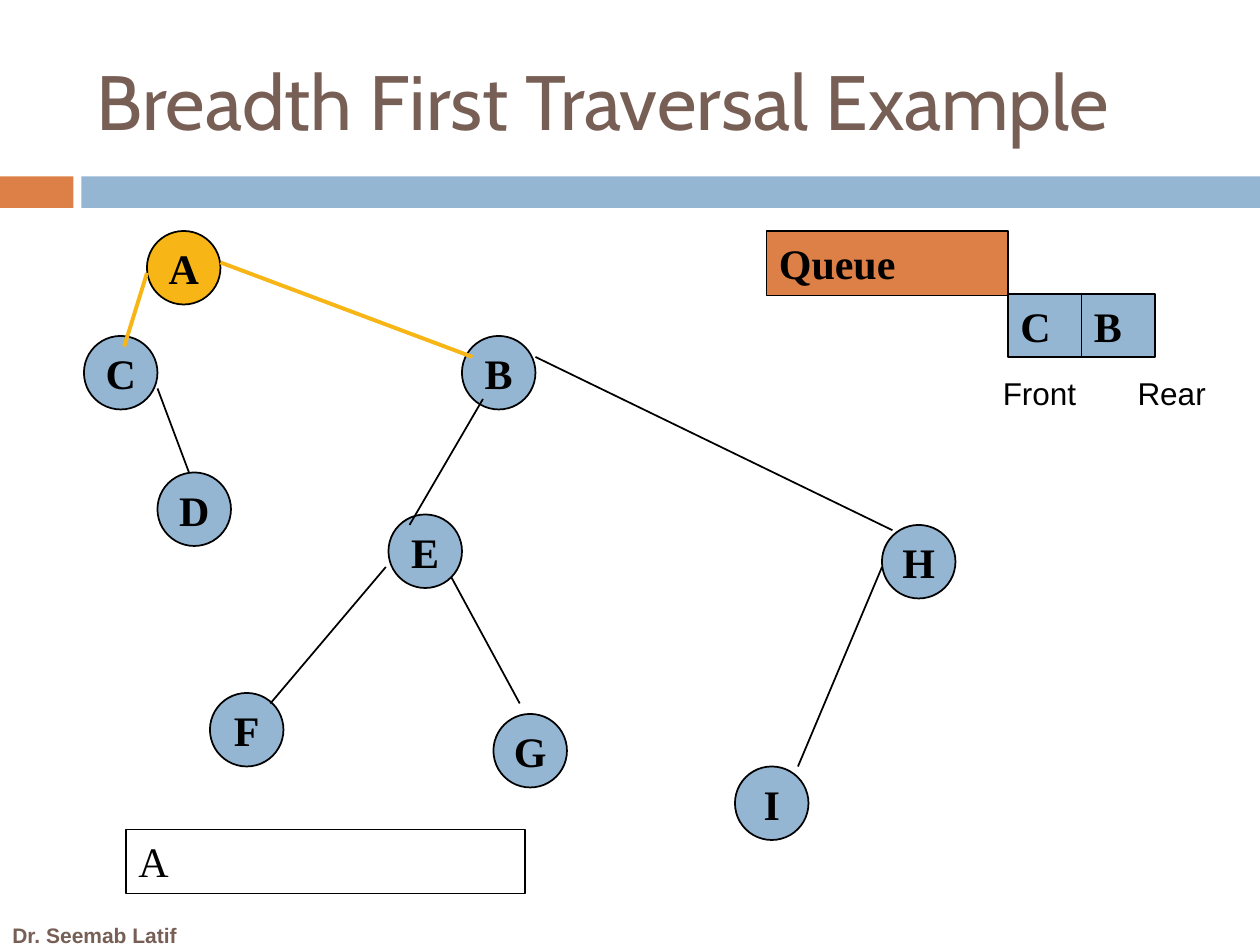
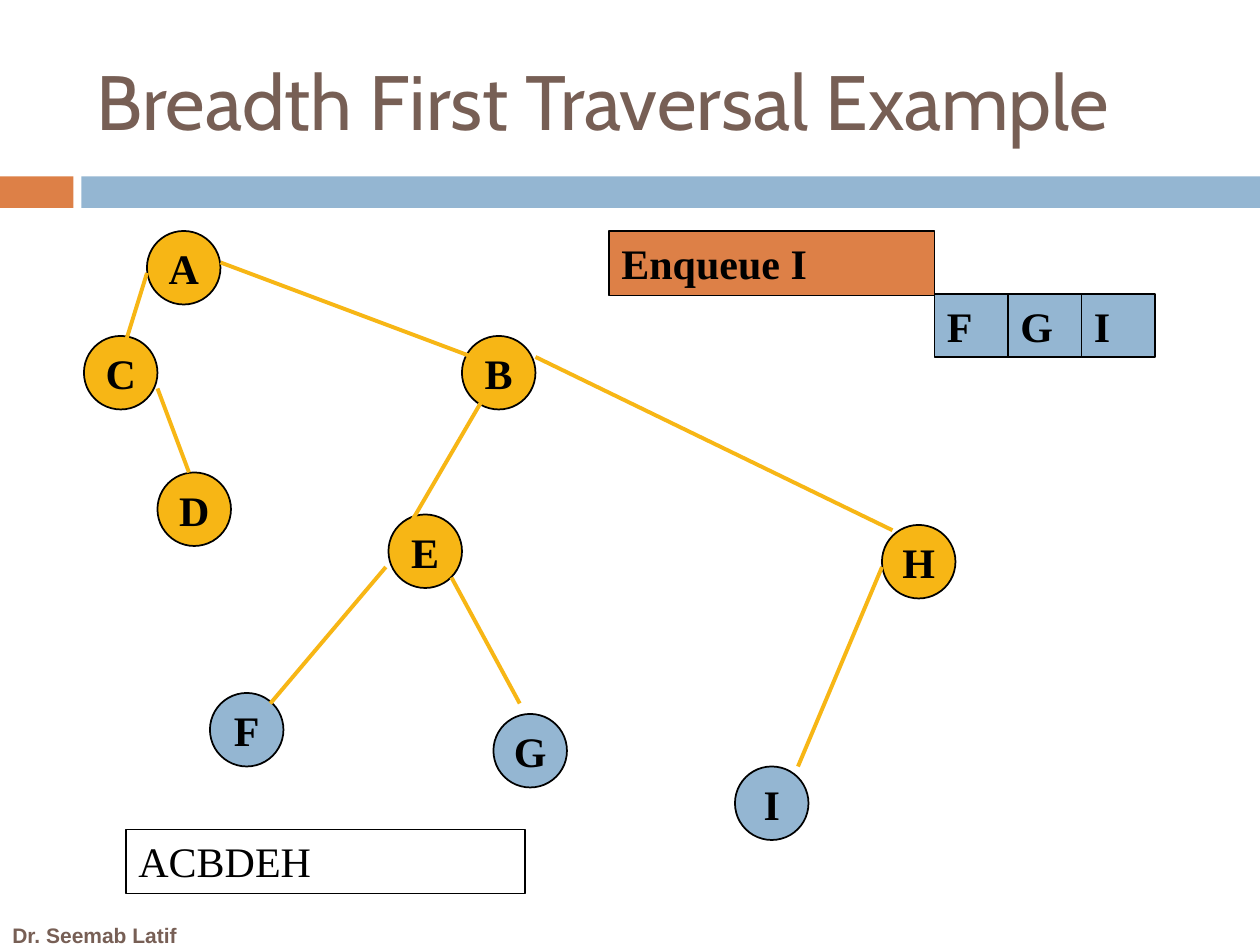
from lxml import etree
from pptx import Presentation
from pptx.dml.color import RGBColor
from pptx.enum import shapes as kinds, text as txt
from pptx.oxml.ns import qn
from pptx.util import Pt

BLUE, ORANGE, YELLOW = "94B6D2", "DD8047", "F7B615"
BROWN, BLACK = "775F55", "000000"
SERIF, SANS, HEADING = "Times New Roman", "Arial", "Cabin"
RECT, OVAL = kinds.MSO_SHAPE.RECTANGLE, kinds.MSO_SHAPE.OVAL

NODE_SIZE = 42
NODES = {
    "H": (504, 300), "A": (84, 132), "C": (48, 192),
    "D": (90, 270), "B": (264, 192), "E": (222, 294),
    "F": (120, 396), "G": (282, 408), "I": (420, 438),
}
# Parent and child letters, then the two ends of the line
EDGES = {
    "AC": (84, 156, 71, 198), "CD": (90, 222, 108, 270),
    "AB": (126, 150, 270, 204), "BE": (276, 228, 234, 300),
    "EF": (220.5, 324, 154.5, 402), "EG": (258, 330, 297, 402),
    "BH": (306, 204, 510, 303), "HI": (504, 324, 456, 438),
}
QUEUE_RIGHT, CELL_WIDTH = 660, 42


def rgb(value):
    return RGBColor.from_string(value)


def put_text(sp, text, size=24, font=SERIF, color=BLACK, bold=False,
             align=txt.PP_ALIGN.LEFT, anchor=txt.MSO_ANCHOR.TOP, wrap=True):
    tf = sp.text_frame
    tf.word_wrap = wrap
    tf.vertical_anchor = anchor
    p = tf.paragraphs[0]
    p.alignment = align
    r = p.add_run()
    r.text = text
    r.font.name, r.font.size, r.font.bold = font, Pt(size), bold
    r.font.color.rgb = rgb(color)


def add_box(parent, box, kind=RECT, fill=None, line=None):
    sp = parent.shapes.add_shape(kind, *map(Pt, box))
    sp.shadow.inherit = False
    if fill:
        sp.fill.solid()
        sp.fill.fore_color.rgb = rgb(fill)
    else:
        sp.fill.background()
    if line:
        sp.line.width = Pt(line)
        sp.line.color.rgb = rgb(BLACK)
    else:
        sp.line.fill.background()
    return sp


def add_edge(parent, ends, color, width):
    line = parent.shapes.add_connector(kinds.MSO_CONNECTOR.STRAIGHT,
                                       *map(Pt, ends))
    line.line.color.rgb = rgb(color)
    line.line.width = Pt(width)
    etree.SubElement(line.element.spPr, qn("a:effectLst"))


def add_tree(s, visited):
    """Draw the graph; visited nodes and the edges below them are yellow."""
    tree = s.shapes.add_group_shape()
    for letter, (left, top) in NODES.items():
        node = add_box(tree, (left, top, NODE_SIZE, NODE_SIZE), OVAL,
                       YELLOW if letter in visited else BLUE, 1)
        put_text(node, letter, bold=True, align=txt.PP_ALIGN.CENTER,
                 anchor=txt.MSO_ANCHOR.MIDDLE, wrap=False)
    for (parent, _), ends in EDGES.items():
        style = (YELLOW, 2.25) if parent in visited else (BLACK, 1)
        add_edge(tree, ends, *style)


def add_queue(s, label, label_left, letters):
    """Draw a caption that ends where the right-aligned row of cells begins."""
    queue = s.shapes.add_group_shape()
    cells_left = QUEUE_RIGHT - CELL_WIDTH * len(letters)
    caption = add_box(queue, (label_left, 132, cells_left - label_left, 36.75),
                      fill=ORANGE, line=0.75)
    put_text(caption, label, bold=True)
    for i, letter in enumerate(letters):
        cell = add_box(queue, (cells_left + i * CELL_WIDTH, 168, CELL_WIDTH, 36),
                       fill=BLUE, line=0.75)
        put_text(cell, letter, bold=True, anchor=txt.MSO_ANCHOR.MIDDLE)


def add_queue_ends(s):
    tb = s.shapes.add_textbox(Pt(546), Pt(210), Pt(156), Pt(28.8))
    tb.text_frame.margin_left = Pt(27)
    pPr = tb.text_frame.paragraphs[0]._p.get_or_add_pPr()
    tabs = etree.SubElement(pPr, qn("a:tabLst"))
    etree.SubElement(tabs, qn("a:tab"), pos=str(Pt(77)), algn="l")
    put_text(tb, "Front\tRear", size=18, font=SANS)


def set_up_layout(layout, s):
    """Place the title and move the bands and footer, built on s, to the layout."""
    title = layout.placeholders[0]
    title.left, title.top, title.width, title.height = map(Pt, (48, 18, 642, 78))
    footer = s.shapes.add_textbox(Pt(0), Pt(523.5), Pt(114), Pt(16.5))
    put_text(footer, "Dr. Seemab Latif", size=12, font=SANS, color=BROWN, bold=True)
    bands = [add_box(s, (0, 100.8, 42, 18), fill=ORANGE),
             add_box(s, (46.5, 100.8, 673.5, 18), fill=BLUE)]
    for sp in bands + [footer]:
        layout.shapes.element.append(sp.element)


def add_step(s, label, label_left, queued, visited):
    put_text(s.shapes.title, "Breadth First Traversal Example", size=44,
             font=HEADING, color=BROWN, anchor=txt.MSO_ANCHOR.MIDDLE)
    add_queue(s, label, label_left, queued)
    add_tree(s, visited)
    put_text(add_box(s, (72, 474, 228, 36.75), line=0.75), visited)


def main():
    prs = Presentation()
    prs.slide_width, prs.slide_height = Pt(720), Pt(540)
    layout = prs.slide_layouts[5]
    first, second = (prs.slides.add_slide(layout) for _ in range(2))
    set_up_layout(layout, first)
    add_step(first, "Queue", 438, "CB", "A")
    add_queue_ends(first)
    add_step(second, "Enqueue I", 348, "FGI", "ACBDEH")
    prs.save("out.pptx")


if __name__ == "__main__":
    main()
